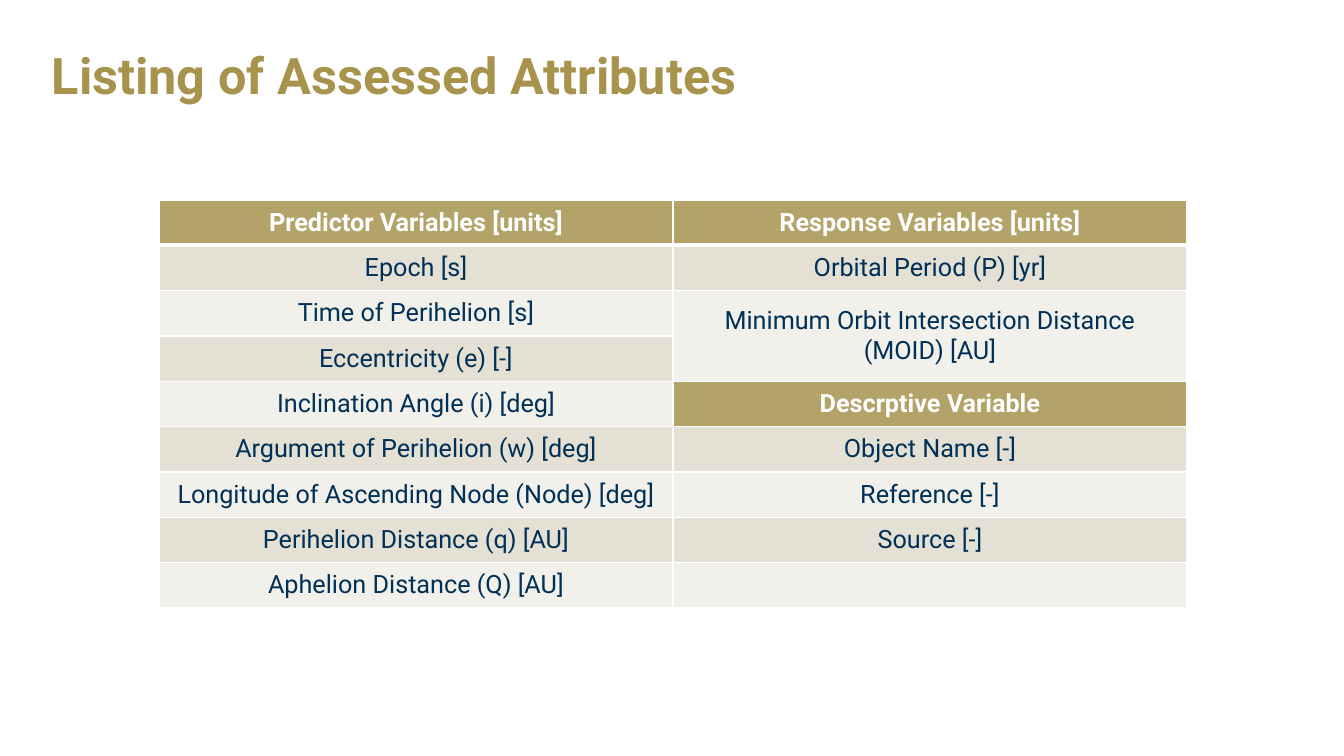
"""Build a slide that lists the assessed attributes in a two-column table."""
from dataclasses import dataclass

from lxml import etree
from pptx import Presentation
from pptx import util as u
from pptx.dml import color
from pptx.enum import text
from pptx.oxml import ns

EMU_PER_PX = 914400 / 100.8
FONT = "Roboto"
COLORS = {
    "title": "A7934B",
    "header": "B3A369",
    "dark_band": "E4E0D3",
    "light_band": "F2F0EA",
    "body": "003057",
    "white": "FFFFFF",
}


@dataclass(frozen=True)
class Entry:
    label: str
    header: bool = False
    rows: int = 1


PREDICTORS = [
    Entry("Predictor Variables [units]", header=True),
    Entry("Epoch [s]"),
    Entry("Time of Perihelion [s]"),
    Entry("Eccentricity (e) [-]"),
    Entry("Inclination Angle (i) [deg]"),
    Entry("Argument of Perihelion (w) [deg]"),
    Entry("Longitude of Ascending Node (Node) [deg]"),
    Entry("Perihelion Distance (q) [AU]"),
    Entry("Aphelion Distance (Q) [AU]"),
]
RESPONSES = [
    Entry("Response Variables [units]", header=True),
    Entry("Orbital Period (P) [yr]"),
    Entry("Minimum Orbit Intersection Distance (MOID) [AU]", rows=2),
    Entry("Descrptive Variable", header=True),
    Entry("Object Name [-]"),
    Entry("Reference [-]"),
    Entry("Source [-]"),
    Entry(""),
]


def px(length: int) -> u.Emu:
    return u.Emu(round(length * EMU_PER_PX))


def rgb(name: str) -> color.RGBColor:
    return color.RGBColor.from_string(COLORS[name])


def write(frame, content: str, *, size: int, fill: str, bold: bool = False,
          align=text.PP_ALIGN.LEFT, spacing: float = 1.0) -> None:
    paragraph = frame.paragraphs[0]
    paragraph.alignment = align
    paragraph.line_spacing = spacing
    if not content:
        return
    run = paragraph.add_run()
    run.text = content
    run.font.name = FONT
    run.font.size = u.Pt(size)
    run.font.bold = bold
    run.font.color.rgb = rgb(fill)


def add_borders(cell, top: int, bottom: int) -> None:
    properties = cell._tc.get_or_add_tcPr()
    for side, points in {"L": 1, "R": 1, "T": top, "B": bottom}.items():
        line = etree.SubElement(properties, ns.qn(f"a:ln{side}"), w=str(u.Pt(points)))
        solid = etree.SubElement(line, ns.qn("a:solidFill"))
        etree.SubElement(solid, ns.qn("a:srgbClr"), val=COLORS["white"])


def fill_column(table, column: int, entries: list[Entry]) -> None:
    row = 0
    for entry in entries:
        band = "dark_band" if row % 2 else "light_band"
        for covered in range(row, row + entry.rows):
            cell = table.cell(covered, column)
            add_borders(cell, top=3 if covered == 1 else 1, bottom=3 if covered == 0 else 1)
            cell.fill.solid()
            cell.fill.fore_color.rgb = rgb("header" if entry.header else band)
            cell.vertical_anchor = text.MSO_ANCHOR.MIDDLE
        first = table.cell(row, column)
        if entry.rows > 1:
            first.merge(table.cell(row + entry.rows - 1, column))
        write(first.text_frame, entry.label, size=18, bold=entry.header,
              fill="white" if entry.header else "body", align=text.PP_ALIGN.CENTER)
        row += entry.rows


def main() -> None:
    presentation = Presentation()
    presentation.slide_width, presentation.slide_height = px(1344), px(756)
    slide = presentation.slides.add_slide(presentation.slide_layouts[6])

    title = slide.shapes.add_textbox(px(42), px(22), px(1260), px(112)).text_frame
    title.word_wrap = True
    title.vertical_anchor = text.MSO_ANCHOR.MIDDLE
    write(title, "Listing of Assessed Attributes", size=36, fill="title", bold=True, spacing=0.9)

    columns = [PREDICTORS, RESPONSES]
    table = slide.shapes.add_table(
        len(PREDICTORS), len(columns), px(159), px(200), px(1028), px(408)).table
    for column, entries in enumerate(columns):
        fill_column(table, column, entries)

    presentation.save("out.pptx")


if __name__ == "__main__":
    main()
